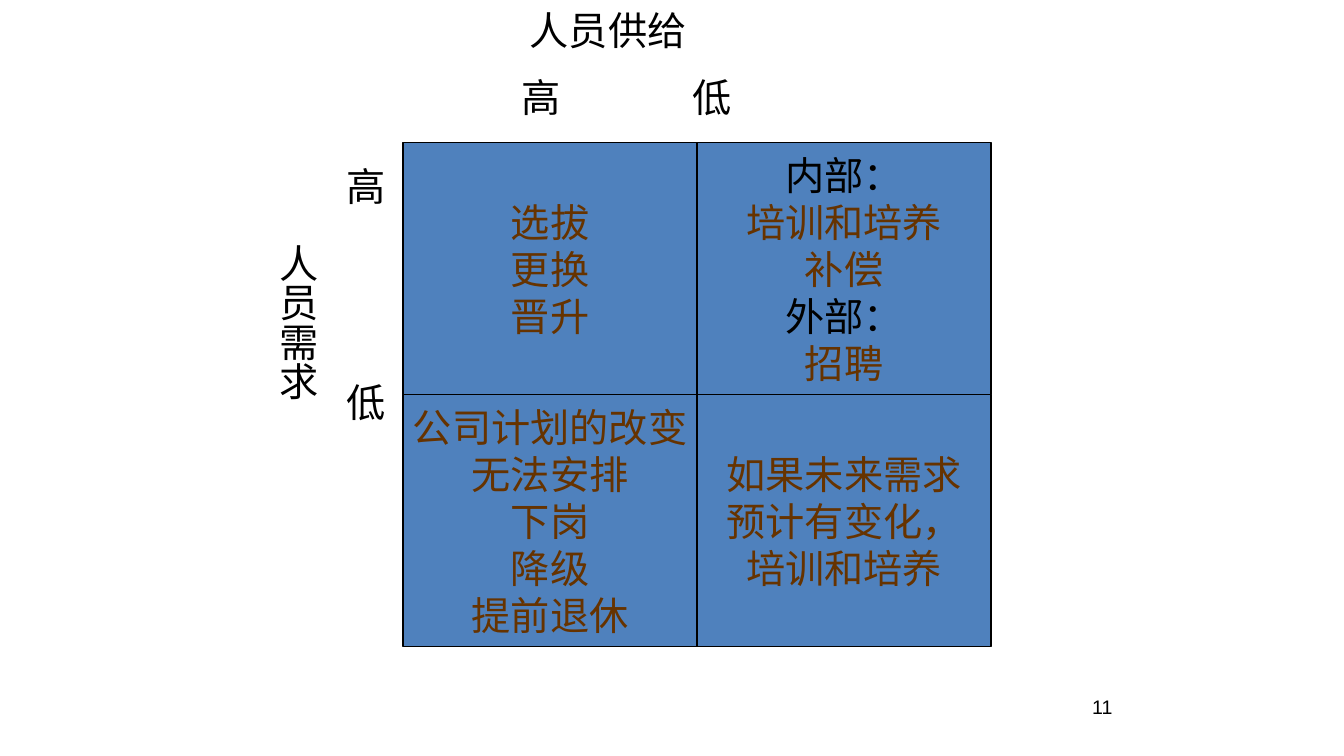
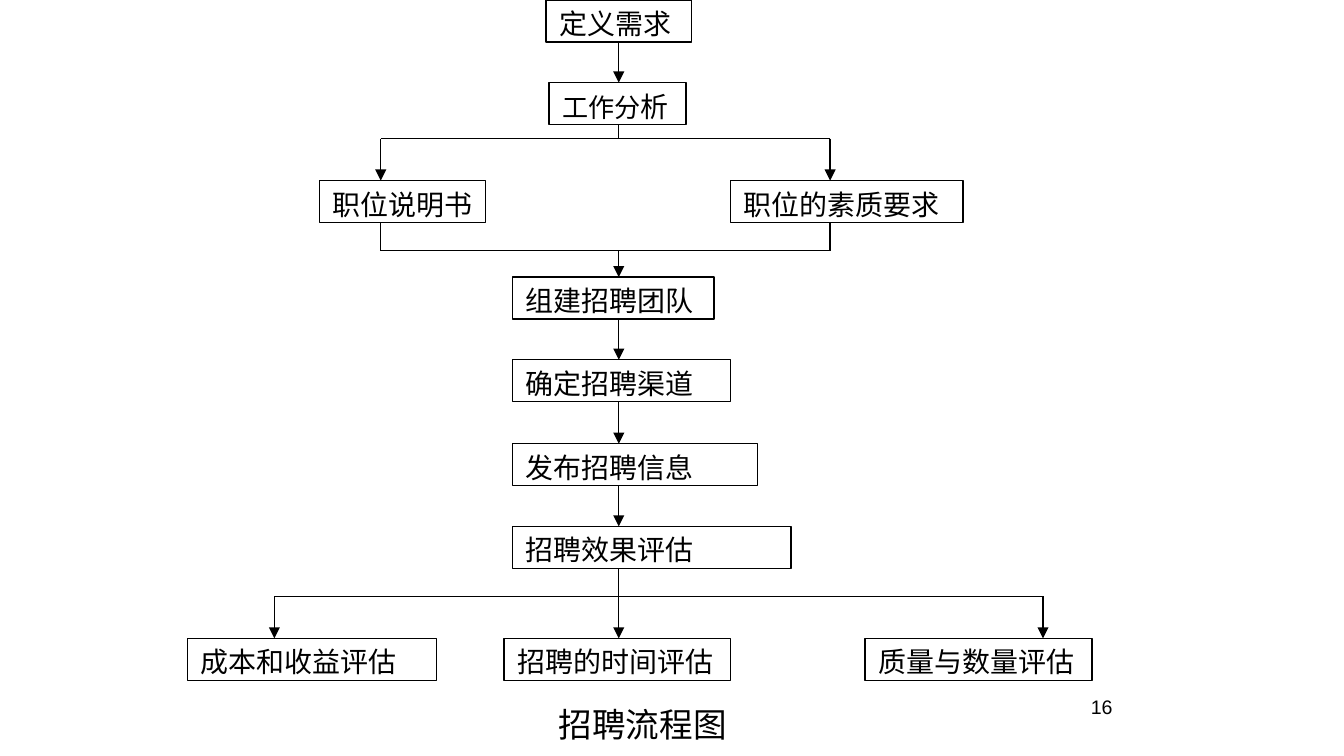
from dataclasses import dataclass
from typing import NamedTuple

from lxml.etree import SubElement
from pptx import Presentation
from pptx.dml.color import RGBColor
from pptx.enum.shapes import MSO_CONNECTOR, MSO_SHAPE
from pptx.enum.text import MSO_ANCHOR, PP_ALIGN
from pptx.oxml.ns import qn
from pptx.util import Emu, Pt

EMU_PER_PX = 9525


@dataclass(frozen=True)
class Theme:
    ink: RGBColor = RGBColor(0x00, 0x00, 0x00)
    brown: RGBColor = RGBColor(0x66, 0x33, 0x00)
    blue: RGBColor = RGBColor(0x4F, 0x81, 0xBD)
    sans: str = "Arial"
    serif: str = "Times New Roman"
    matrix_size: float = 21
    caption_size: float = 18
    step_size: float = 15
    small_step_size: float = 14
    page_size: float = 10.5
    gap_percent: int = 50
    stroke: float = 0.75


THEME = Theme()


class Rect(NamedTuple):
    left: int
    top: int
    width: int
    height: int


class Row(NamedTuple):
    text: str
    stops: tuple[int, ...] = ()
    spaced: bool = True


class Cell(NamedTuple):
    lines: tuple[str, ...]
    headings: tuple[str, ...] = ()


class Step(NamedTuple):
    left: int
    top: int
    width: int
    text: str
    small: str = ""


class Link(NamedTuple):
    x1: int
    y1: int
    x2: int
    y2: int
    arrow: bool = False


PAGE = Rect(636, 492, 168, 37)
SUPPLY_AXIS = Rect(300, 0, 300, 94)
DEMAND_AXIS = Rect(178, 108, 104, 288)
CAPTION = Rect(294, 498, 330, 38)

MATRIX = Rect(288, 102, 210, 180)
CELLS = (
    (
        Cell(("选拔", "更换", "晋升")),
        Cell(("内部：", "培训和培养", "补偿", "外部：", "招聘"), ("内部：", "外部：")),
    ),
    (
        Cell(("公司计划的改变", "无法安排", "下岗", "降级", "提前退休")),
        Cell(("如果未来需求", "预计有变化，", "培训和培养")),
    ),
)

STEP_HEIGHT = 30
TRUNK, LEFT_BRANCH, RIGHT_BRANCH = 442, 272, 593
FORK, MERGE, REVIEW_FORK = 99, 179, 426
REVIEW_BRANCHES = (196, 745)
DEFINE, ANALYSE, SPECIFY, TEAM, CHANNEL, PUBLISH, EVALUATE, REVIEW = (
    0, 59, 129, 198, 257, 317, 376, 456)

STEPS = (
    Step(390, DEFINE, 104, "定义需求"),
    Step(392, ANALYSE, 98, "析", small="工作分"),
    Step(228, SPECIFY, 119, "职位说明书"),
    Step(522, SPECIFY, 166, "职位的素质要求"),
    Step(366, TEAM, 144, "组建招聘团队"),
    Step(366, CHANNEL, 156, "确定招聘渠道"),
    Step(366, PUBLISH, 175, "发布招聘信息"),
    Step(366, EVALUATE, 199, "招聘效果评估"),
    Step(134, REVIEW, 178, "成本和收益评估"),
    Step(360, REVIEW, 162, "招聘的时间评估"),
    Step(618, REVIEW, 162, "质量与数量评估"),
)


def px(value: int) -> Emu:
    return Emu(value * EMU_PER_PX)


def place(rect: Rect) -> list[Emu]:
    return [px(value) for value in rect]


def style(p, name: str, size: float, color: RGBColor = THEME.ink) -> None:
    for font in (p.font, *(r.font for r in p.runs)):
        font.name = name
        font.size = Pt(size)
        font.color.rgb = color


def add_paragraph(tf, index: int, text: str):
    p = tf.add_paragraph() if index else tf.paragraphs[0]
    p.add_run().text = text
    return p


def set_gap(p) -> None:
    gap = SubElement(p._p.get_or_add_pPr(), qn("a:spcBef"))
    SubElement(gap, qn("a:spcPct"), val=str(THEME.gap_percent * 1000))


def set_tabs(p, stops: tuple[int, ...]) -> None:
    tabs = SubElement(p._p.get_or_add_pPr(), qn("a:tabLst"))
    for stop in stops:
        SubElement(tabs, qn("a:tab"), pos=str(px(stop)), algn="l")


def add_text(slide, rect: Rect, rows: tuple[Row, ...], size: float,
             name: str = THEME.sans, align: PP_ALIGN = PP_ALIGN.LEFT):
    tf = slide.shapes.add_textbox(*place(rect)).text_frame
    tf.word_wrap = True
    for index, row in enumerate(rows):
        p = add_paragraph(tf, index, row.text)
        p.alignment = align
        if row.spaced:
            set_gap(p)
        if row.stops:
            set_tabs(p, row.stops)
        style(p, name, size)
    return tf


def add_box(slide, rect: Rect):
    sp = slide.shapes.add_shape(MSO_SHAPE.RECTANGLE, *place(rect))
    sp.shadow.inherit = False
    sp.fill.background()
    sp.line.color.rgb = THEME.ink
    sp.line.width = Pt(THEME.stroke)
    return sp


def add_cell(slide, rect: Rect, cell: Cell) -> None:
    sp = add_box(slide, rect)
    sp.fill.solid()
    sp.fill.fore_color.rgb = THEME.blue
    tf = sp.text_frame
    tf.word_wrap = False
    tf.vertical_anchor = MSO_ANCHOR.MIDDLE
    for index, line in enumerate(cell.lines):
        p = add_paragraph(tf, index, line)
        p.alignment = PP_ALIGN.CENTER
        color = THEME.ink if line in cell.headings else THEME.brown
        style(p, THEME.sans, THEME.matrix_size, color)


def add_step(slide, step: Step) -> None:
    tf = add_box(slide, Rect(*step[:3], STEP_HEIGHT)).text_frame
    tf.word_wrap = True
    tf.vertical_anchor = MSO_ANCHOR.TOP
    tf.margin_right = 0
    p = add_paragraph(tf, 0, step.small or step.text)
    p.alignment = PP_ALIGN.JUSTIFY
    if step.small:
        p.add_run().text = step.text
    style(p, THEME.serif, THEME.step_size)
    if step.small:
        p.runs[0].font.size = Pt(THEME.small_step_size)


def add_link(slide, link: Link) -> None:
    cx = slide.shapes.add_connector(MSO_CONNECTOR.STRAIGHT, *map(px, link[:4]))
    cx.line.color.rgb = THEME.ink
    cx.line.width = Pt(THEME.stroke)
    if link.arrow:
        SubElement(cx.line._get_or_add_ln(), qn("a:tailEnd"), type="triangle")
    SubElement(cx._element.spPr, qn("a:effectLst"))


def down(x: int, top: int, bottom: int, arrow: bool = True) -> Link:
    return Link(x, top, x, bottom, arrow)


def flow_links() -> list[Link]:
    direct = ((DEFINE, ANALYSE), (TEAM, CHANNEL), (CHANNEL, PUBLISH),
              (PUBLISH, EVALUATE), (EVALUATE, REVIEW))
    links = [down(TRUNK, a + STEP_HEIGHT, b) for a, b in direct]
    links += [
        down(TRUNK, ANALYSE + STEP_HEIGHT, FORK, False),
        Link(LEFT_BRANCH, FORK, RIGHT_BRANCH, FORK),
        Link(RIGHT_BRANCH, MERGE, LEFT_BRANCH, MERGE),
        down(TRUNK, MERGE, TEAM),
        Link(REVIEW_BRANCHES[0], REVIEW_FORK, REVIEW_BRANCHES[1], REVIEW_FORK),
    ]
    for x in (LEFT_BRANCH, RIGHT_BRANCH):
        links += [down(x, FORK, SPECIFY),
                  down(x, SPECIFY + STEP_HEIGHT, MERGE, False)]
    links += [down(x, REVIEW_FORK, REVIEW) for x in REVIEW_BRANCHES]
    return links


def add_page(prs, number: int):
    slide = prs.slides.add_slide(prs.slide_layouts[6])
    add_text(slide, PAGE, (Row(str(number), spaced=False),), THEME.page_size,
             align=PP_ALIGN.RIGHT)
    return slide


def build_matrix(prs) -> None:
    slide = add_page(prs, 11)
    for i, cells in enumerate(CELLS):
        for j, cell in enumerate(cells):
            rect = MATRIX._replace(left=MATRIX.left + j * MATRIX.width,
                                   top=MATRIX.top + i * MATRIX.height)
            add_cell(slide, rect, cell)
    add_text(slide, SUPPLY_AXIS,
             (Row("\t人员供给", (69,)), Row("\t高\t低", (63, 185))),
             THEME.matrix_size)
    tf = add_text(slide, DEMAND_AXIS,
                  (Row("\t高\t低", (2, 156)), Row("\t人员需求", (57,))),
                  THEME.matrix_size)
    tf._txBody.bodyPr.set("vert", "eaVert")


def build_flow(prs) -> None:
    slide = add_page(prs, 16)
    for step in STEPS:
        add_step(slide, step)
    for link in flow_links():
        add_link(slide, link)
    add_text(slide, CAPTION, (Row("招聘流程图"),), THEME.caption_size,
             THEME.serif, PP_ALIGN.CENTER)


def main() -> None:
    prs = Presentation()
    prs.slide_width, prs.slide_height = px(960), px(540)
    build_matrix(prs)
    build_flow(prs)
    prs.save("out.pptx")


if __name__ == "__main__":
    main()
